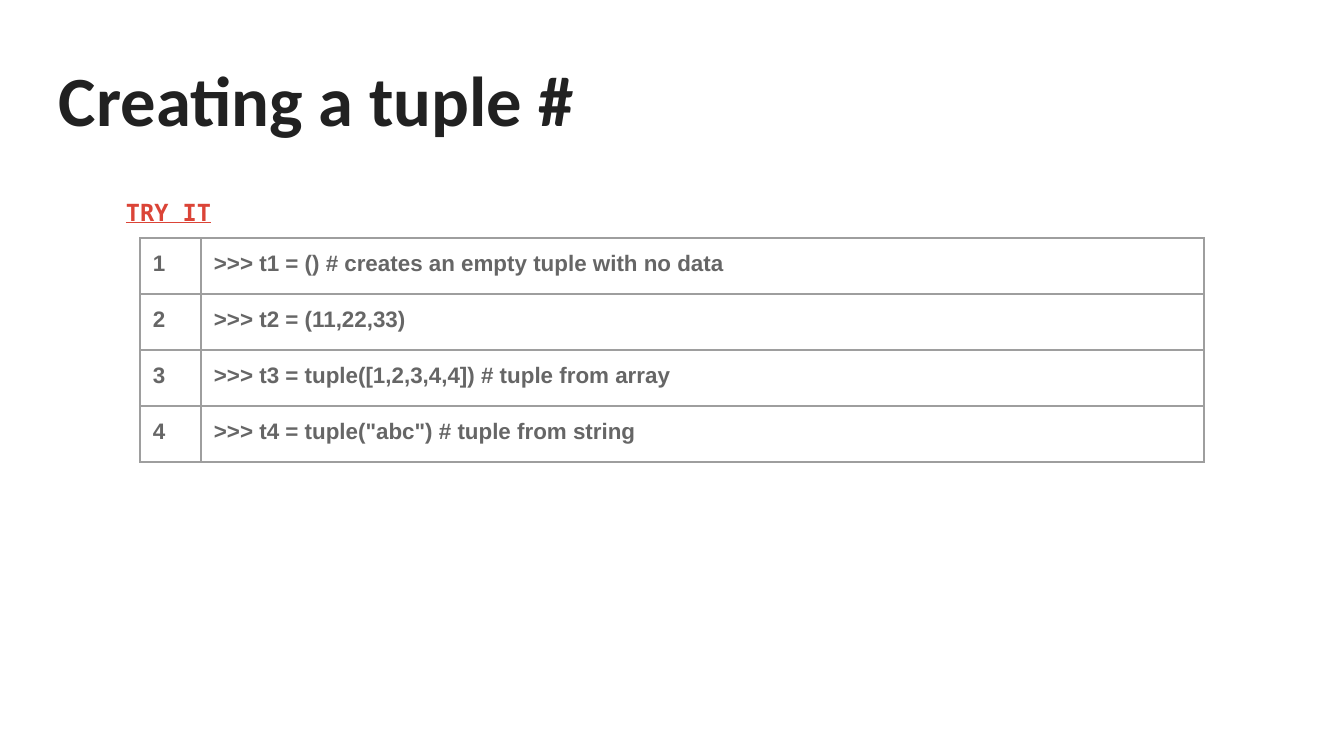
from dataclasses import dataclass

from lxml.etree import SubElement
from pptx import Presentation
from pptx.dml.color import RGBColor
from pptx.enum.text import MSO_ANCHOR, MSO_AUTO_SIZE, PP_ALIGN
from pptx.oxml.ns import qn
from pptx.util import Emu, Pt

SCALE = 914400 / 134.4


@dataclass(frozen=True)
class Style:
    """Font, size in points and colour of a run."""
    font: str
    size: float
    color: str
    line: bool = False


@dataclass(frozen=True)
class Theme:
    """Colours and type sizes of the slide."""
    title: Style = Style("Calibri", 37.8, "212121")
    label: Style = Style("DejaVu Sans Mono", 12.6, "DB4437", True)
    code: Style = Style("Arial", 12, "666666")
    rule: str = "9E9E9E"
    width: float = 0.75
    inset: int = 13


@dataclass(frozen=True)
class Grid:
    """Place and track sizes of a table in px."""
    left: int
    top: int
    cols: tuple[int, ...]
    row: int


THEME = Theme()
GRID = Grid(140, 238, (61, 1003), 56)
CODE = (
    ">>> t1 = () # creates an empty tuple with no data",
    ">>> t2 = (11,22,33)",
    ">>> t3 = tuple([1,2,3,4,4]) # tuple from array",
    '>>> t4 = tuple("abc") # tuple from string',
)


def px(value: int) -> Emu:
    """Turn px into EMU."""
    return Emu(round(value * SCALE))


def paint(para, style: Style) -> None:
    """Format each run of a paragraph."""
    para.alignment = PP_ALIGN.LEFT
    for run in para.runs:
        font = run.font
        font.name, font.size, font.bold = style.font, Pt(style.size), True
        font.underline = style.line
        font.color.rgb = RGBColor.from_string(style.color)


def inset(box) -> None:
    """Give a frame or cell equal margins."""
    box.margin_left = box.margin_right = px(THEME.inset)
    box.margin_top = box.margin_bottom = px(THEME.inset)


def border(cell) -> None:
    """Rule all four sides of a cell."""
    props = cell._tc.get_or_add_tcPr()
    for side in ("a:lnL", "a:lnR", "a:lnT", "a:lnB"):
        line = SubElement(props, qn(side), w=str(Pt(THEME.width)))
        fill = SubElement(line, qn("a:solidFill"))
        SubElement(fill, qn("a:srgbClr"), val=THEME.rule)


def draw_title(slide, title: str, label: str) -> None:
    """Fill the title and the label below it."""
    shape = slide.shapes.title
    shape.left, shape.top = px(46), px(43)
    shape.width, shape.height = px(1252), px(118)
    frame = shape.text_frame
    frame.auto_size = MSO_AUTO_SIZE.NONE
    frame.vertical_anchor = MSO_ANCHOR.TOP
    frame.word_wrap = True
    inset(frame)
    frame.text = title
    paint(frame.paragraphs[0], THEME.title)
    para = frame.add_paragraph()
    para.text = label
    para.space_before = Pt(30.75)
    props = para._p.get_or_add_pPr()
    props.set("marL", str(px(67)))
    props.set("indent", "0")
    paint(para, THEME.label)


def draw_code(slide, grid: Grid, lines: tuple[str, ...]) -> None:
    """Draw a table of numbered code lines."""
    table = slide.shapes.add_table(
        len(lines), len(grid.cols), px(grid.left), px(grid.top),
        px(sum(grid.cols)), px(grid.row * len(lines))).table
    table.first_row = table.horz_banding = False
    for col, width in zip(table.columns, grid.cols):
        col.width = px(width)
    for num, (row, line) in enumerate(zip(table.rows, lines), 1):
        row.height = px(grid.row)
        for cell, text in zip(row.cells, (str(num), line)):
            inset(cell)
            border(cell)
            cell.fill.background()
            cell.text_frame.text = text
            paint(cell.text_frame.paragraphs[0], THEME.code)


def main() -> None:
    """Build and save the slide."""
    deck = Presentation()
    deck.slide_width, deck.slide_height = px(1344), px(756)
    slide = deck.slides.add_slide(deck.slide_layouts[5])
    draw_title(slide, "Creating a tuple #", "TRY IT")
    draw_code(slide, GRID, CODE)
    deck.save("out.pptx")


if __name__ == "__main__":
    main()
